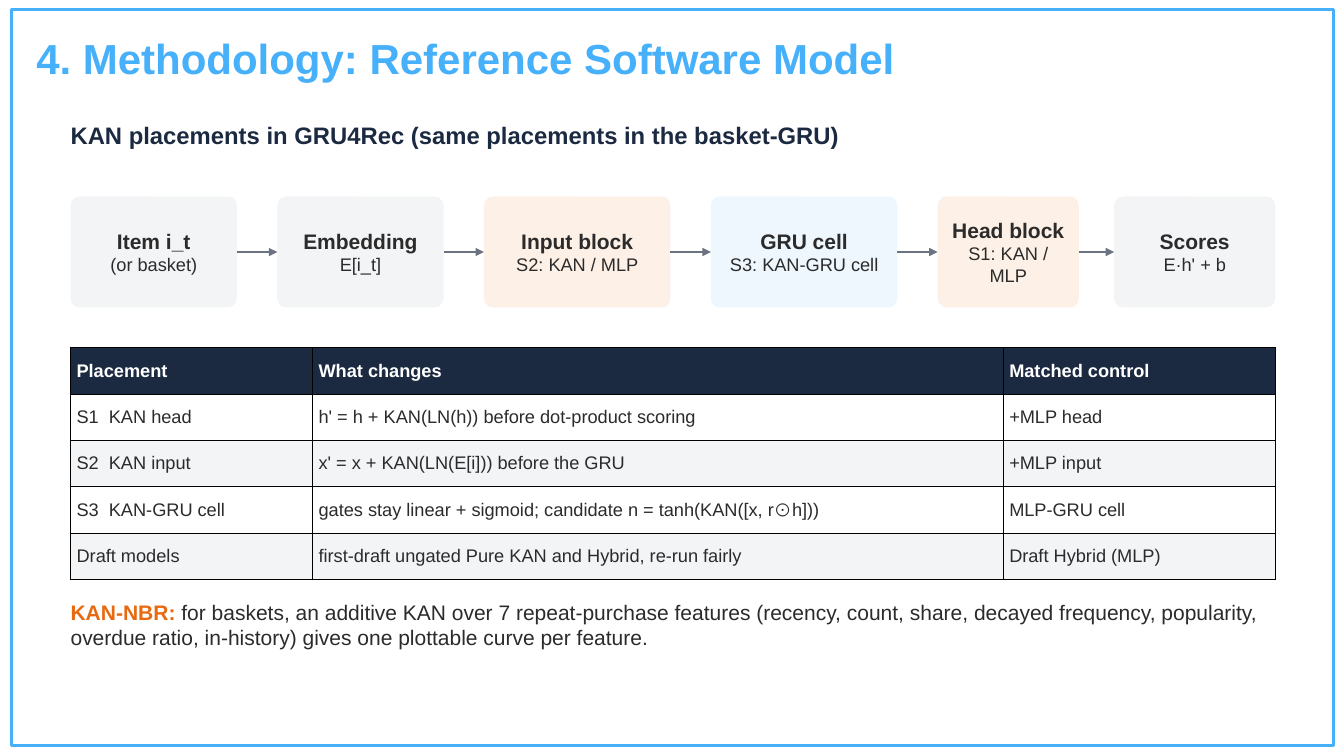
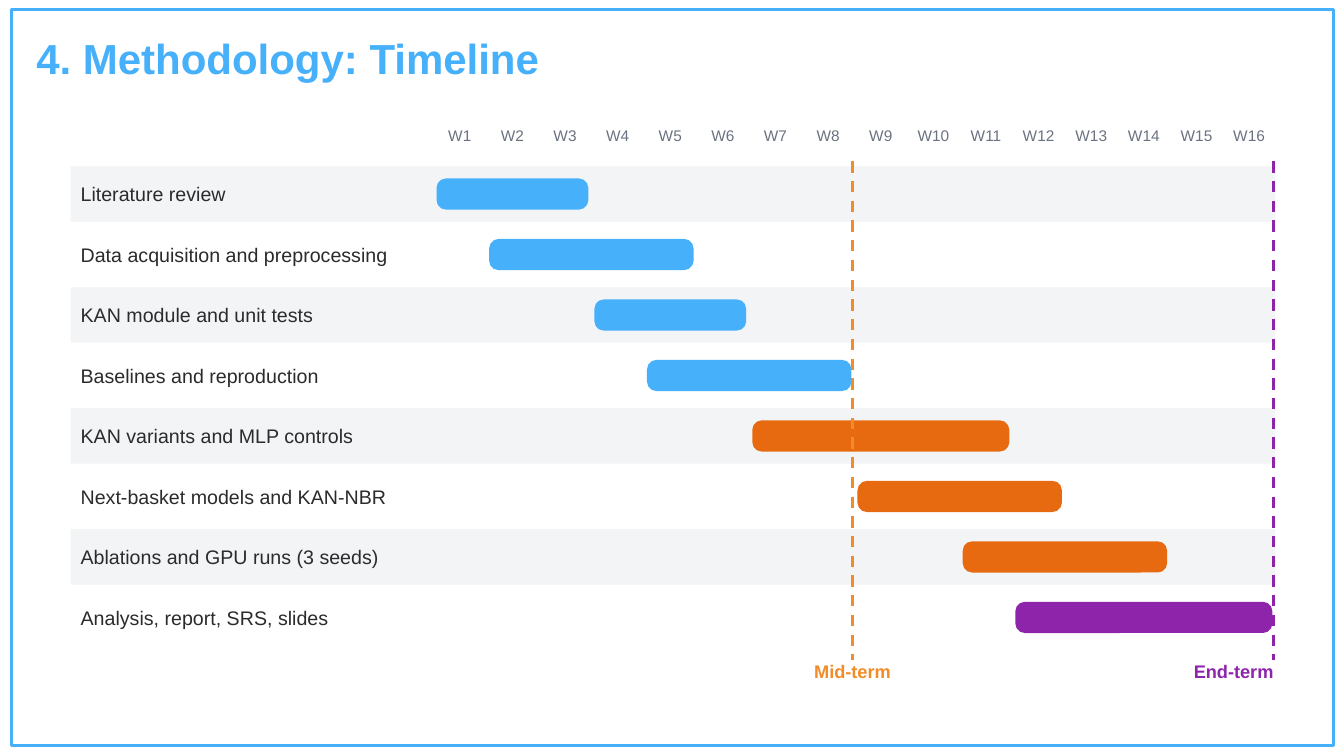
from lxml.etree import SubElement
from pptx import Presentation
from pptx.dml.color import RGBColor
from pptx.enum.dml import MSO_LINE
from pptx.enum.shapes import MSO_CONNECTOR, MSO_SHAPE
from pptx.enum.text import MSO_ANCHOR, MSO_AUTO_SIZE, PP_ALIGN
from pptx.oxml.ns import qn
from pptx.util import Pt

PX = 9144  # 100 px to the inch
FONT = "Arial"
SKY = RGBColor(0x46, 0xB0, 0xFA)
NAVY = RGBColor(0x1B, 0x2A, 0x41)
INK = RGBColor(0x2B, 0x2B, 0x2B)
GRAY = RGBColor(0x6B, 0x72, 0x80)
PALE = RGBColor(0xF3, 0xF4, 0xF6)
PEACH = RGBColor(0xFD, 0xF0, 0xE6)
ICE = RGBColor(0xEE, 0xF6, 0xFE)
RUST = RGBColor(0xE8, 0x6A, 0x10)
AMBER = RGBColor(0xF2, 0x8C, 0x28)
PLUM = RGBColor(0x8E, 0x24, 0xAA)
WHITE = RGBColor(0xFF, 0xFF, 0xFF)

LEFT, WIDE = 70, 1195

# Flow: left, width, fill, heading, detail
STEPS = [
    (70, 165, PALE, "Item i_t", "(or basket)"),
    (275, 165, PALE, "Embedding", "E[i_t]"),
    (480, 185, PEACH, "Input block", "S2: KAN / MLP"),
    (705, 185, ICE, "GRU cell", "S3: KAN-GRU cell"),
    (930, 140, PEACH, "Head block", "S1: KAN / MLP"),
    (1105, 160, PALE, "Scores", "E·h' + b"),
]
COLS = [240, 685, 270]
ROWS = [
    ("Placement", "What changes", "Matched control"),
    ("S1\tKAN head", "h' = h + KAN(LN(h)) before dot-product scoring",
     "+MLP head"),
    ("S2\tKAN input", "x' = x + KAN(LN(E[i])) before the GRU", "+MLP input"),
    ("S3\tKAN-GRU cell",
     "gates stay linear + sigmoid; candidate n = tanh(KAN([x, r⊙h]))",
     "MLP-GRU cell"),
    ("Draft models", "first-draft ungated Pure KAN and Hybrid, re-run fairly",
     "Draft Hybrid (MLP)"),
]
# Timeline: label, first week, weeks, fill
TASKS = [
    ("Literature review", 1, 3, SKY),
    ("Data acquisition and preprocessing", 2, 4, SKY),
    ("KAN module and unit tests", 4, 3, SKY),
    ("Baselines and reproduction", 5, 4, SKY),
    ("KAN variants and MLP controls", 7, 5, RUST),
    ("Next-basket models and KAN-NBR", 9, 4, RUST),
    ("Ablations and GPU runs (3 seeds)", 11, 4, RUST),
    ("Analysis, report, SRS, slides", 12, 5, PLUM),
]
WEEKS = 16
GRID = 430
STEP = (LEFT + WIDE - GRID) / WEEKS


def px(*nums):
    return [round(n * PX) for n in nums]


def write(para, text, size, color, bold=False):
    run = para.add_run()
    run.text = text
    font = run.font
    font.name, font.size, font.bold = FONT, Pt(size), bold
    font.color.rgb = color


def inset(frame, side=0, top=0):
    frame.margin_left, frame.margin_right = px(side, side)
    frame.margin_top, frame.margin_bottom = px(top, top)
    frame.word_wrap = True


def label(slide, box, runs, align=PP_ALIGN.LEFT, anchor=MSO_ANCHOR.TOP):
    frame = slide.shapes.add_textbox(*px(*box)).text_frame
    inset(frame)
    frame.vertical_anchor = anchor
    para = frame.paragraphs[0]
    para.alignment = align
    for run in runs:
        write(para, *run)


def block(slide, box, fill, curve=None):
    kind = MSO_SHAPE.RECTANGLE if curve is None else MSO_SHAPE.ROUNDED_RECTANGLE
    shape = slide.shapes.add_shape(kind, *px(*box))
    shape.shadow.inherit = False
    if curve is not None:
        shape.adjustments[0] = curve
    shape.fill.solid()
    shape.fill.fore_color.rgb = fill
    shape.line.fill.background()
    return shape


def rule(slide, ends, color, dash=None, arrow=False):
    link = slide.shapes.add_connector(MSO_CONNECTOR.STRAIGHT, *px(*ends))
    link.line.color.rgb = color
    link.line.width = Pt(2)
    if dash:
        link.line.dash_style = dash
    props = link.element.spPr
    if arrow:
        SubElement(props.find(qn("a:ln")), qn("a:tailEnd"), type="triangle")
    SubElement(props, qn("a:effectLst"))


def node(slide, left, width, fill, head, note):
    frame = block(slide, (left, 195, width, 110), fill, 0.08).text_frame
    inset(frame, 8, 4)
    frame.vertical_anchor = MSO_ANCHOR.MIDDLE
    first = frame.paragraphs[0]
    write(first, head, 15, INK, True)
    second = frame.add_paragraph()
    write(second, note, 13, INK)
    first.alignment = second.alignment = PP_ALIGN.CENTER


def edge(cell):
    props = cell._tc.get_or_add_tcPr()
    for side in "LRTB":
        line = SubElement(props, qn("a:ln" + side), w=str(Pt(1)))
        fill = SubElement(line, qn("a:solidFill"))
        SubElement(fill, qn("a:srgbClr"), val="000000")


def stop(para, at):
    tabs = SubElement(para._p.get_or_add_pPr(), qn("a:tabLst"))
    SubElement(tabs, qn("a:tab"), pos=str(at * PX), algn="l")


def grid(slide, left, top, high):
    size = px(left, top, sum(COLS), high * len(ROWS))
    table = slide.shapes.add_table(len(ROWS), len(COLS), *size).table
    for col, width in zip(table.columns, COLS):
        col.width = width * PX
    for r, row in enumerate(ROWS):
        table.rows[r].height = high * PX
        for c, text in enumerate(row):
            cell = table.cell(r, c)
            edge(cell)
            cell.fill.solid()
            cell.fill.fore_color.rgb = (
                NAVY if r == 0 else WHITE if r % 2 else PALE)
            cell.vertical_anchor = MSO_ANCHOR.MIDDLE
            cell.margin_left, cell.margin_right = px(6, 6)
            cell.margin_top, cell.margin_bottom = px(2, 2)
            para = cell.text_frame.paragraphs[0]
            if "\t" in text:
                stop(para, 32)
            write(para, text, 13, INK if r else WHITE, r == 0)


def frame_up(slide, layout):
    """Give the layout its border and title place."""
    shape = slide.shapes.add_shape(MSO_SHAPE.RECTANGLE, *px(11, 9, 1312, 731))
    shape.shadow.inherit = False
    shape.fill.background()
    shape.line.color.rgb = SKY
    shape.line.width = Pt(2.25)
    layout.shapes.element.insert(2, shape.element)
    for spot in list(layout.placeholders):
        if spot.placeholder_format.idx:
            spot.element.getparent().remove(spot.element)
        else:
            spot.left, spot.top, spot.width, spot.height = px(36, 26, 1040, 62)


def start(deck, layout, text):
    slide = deck.slides.add_slide(layout)
    frame = slide.shapes.title.text_frame
    inset(frame)
    frame.auto_size = MSO_AUTO_SIZE.NONE
    frame.vertical_anchor = MSO_ANCHOR.MIDDLE
    para = frame.paragraphs[0]
    para.alignment = PP_ALIGN.LEFT
    write(para, "4. Methodology: " + text, 30, SKY, True)
    return slide


def model(slide):
    label(slide, (LEFT, 120, 1190, 45), [
        ("KAN placements in GRU4Rec (same placements in the basket-GRU)",
         17, NAVY, True)])
    for step in STEPS:
        node(slide, *step)
    for last, after in zip(STEPS, STEPS[1:]):
        rule(slide, (last[0] + last[1], 250, after[0], 250), GRAY, arrow=True)
    grid(slide, LEFT, 345, 46)
    label(slide, (LEFT, 595, WIDE, 80), [
        ("KAN-NBR: ", 15, RUST, True),
        ("for baskets, an additive KAN over 7 repeat-purchase features "
         "(recency, count, share, decayed frequency, popularity, overdue "
         "ratio, in-history) gives one plottable curve per feature.", 15, INK)])


def plan(slide):
    # Week heads
    for week in range(WEEKS):
        label(slide, (GRID + week * STEP, 125, STEP, 35),
              [(f"W{week + 1}", 11, GRAY)], PP_ALIGN.CENTER)
    # Task rows
    for i, (name, first, weeks, fill) in enumerate(TASKS):
        top = 165 + 60 * i
        if i % 2 == 0:
            block(slide, (LEFT, top, WIDE, 55), PALE)
        label(slide, (80, top + 5, 340, 45), [(name, 14, INK)],
              anchor=MSO_ANCHOR.MIDDLE)
        left = GRID + (first - 1) * STEP + 3
        block(slide, (left, top + 12, weeks * STEP - 6, 31), fill, 0.3)
    # Term marks: name, week, colour, label offset and width, alignment
    for name, week, color, back, width, align in (
            ("Mid-term", 8, AMBER, 100, 200, PP_ALIGN.CENTER),
            ("End-term", 16, PLUM, 100, 100, PP_ALIGN.RIGHT)):
        x = GRID + week * STEP - 2
        rule(slide, (x, 160, x, 655), color, MSO_LINE.DASH)
        label(slide, (x - back, 655, width, 35), [(name, 13, color, True)],
              align)


def main():
    deck = Presentation()
    deck.slide_width, deck.slide_height = px(1333, 750)
    layout = deck.slide_layouts[5]
    first = start(deck, layout, "Reference Software Model")
    frame_up(first, layout)
    model(first)
    plan(start(deck, layout, "Timeline"))
    deck.save("out.pptx")


if __name__ == "__main__":
    main()
